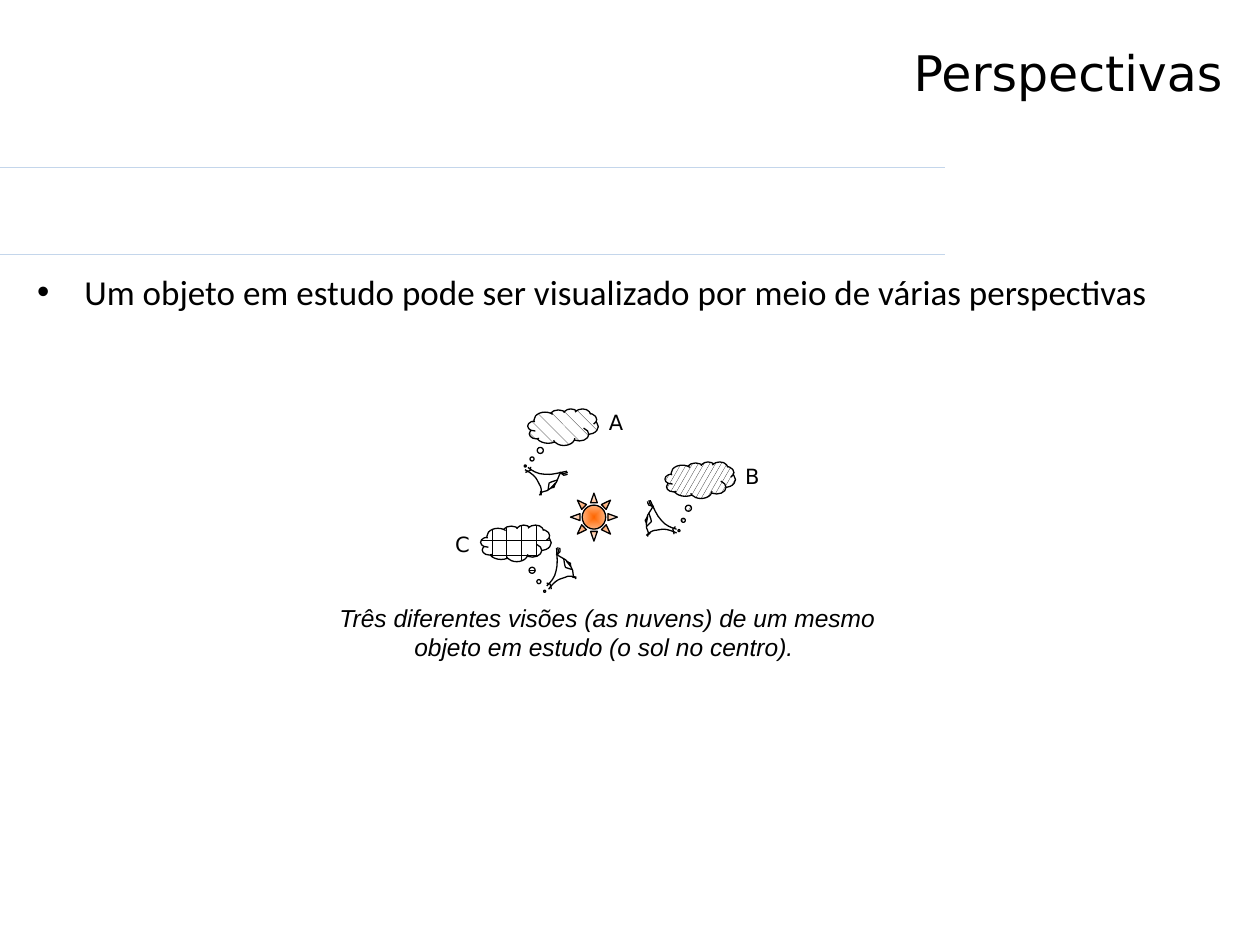
"""Build the slide on three views of one object under study."""
from math import cos, radians, sin

from lxml.etree import SubElement
from pptx import Presentation
from pptx.dml.color import RGBColor
from pptx.enum.dml import MSO_PATTERN
from pptx.enum.shapes import MSO_CONNECTOR, MSO_SHAPE
from pptx.enum.text import PP_ALIGN
from pptx.oxml.ns import qn
from pptx.util import Pt

BLACK = RGBColor(0x00, 0x00, 0x00)
WHITE = RGBColor(0xFF, 0xFF, 0xFF)
ORANGE = RGBColor(0xFF, 0x66, 0x00)
PALE = RGBColor(0xC4, 0xD6, 0xEB)

TITLE = "Perspectivas"
POINT = "Um objeto em estudo pode ser visualizado por meio de várias perspectivas"
CAPTION = ("Três diferentes visões (as nuvens) de um mesmo "
           "objeto em estudo (o sol no centro). ")

RULES = [95.76, 145.44]
RULE_END = 540
SUN = (326, 281.8, 26.8, 27.4)

CLOUD_W, CLOUD_H = 40.32, 20.88
CLOUDS = [
    (380, 263.9, MSO_PATTERN.LARGE_CONFETTI, (-0.301, 1.381)),
    (301.6, 233.6, MSO_PATTERN.SHINGLE, (-0.536, 1.065)),
    (274.7, 300, MSO_PATTERN.HORIZONTAL_BRICK, (0.407, 1.313)),
]
LABELS = [("A", 340.56, 230.4), ("B", 418.32, 261.36), ("C", 252.72, 300.24)]

EYES = [(386.64, 302.4, 1, 0), (312.48, 334.8, -1, -27.9), (301.68, 267.12, -1, 53.2)]
UNIT = 0.72
STROKES = [
    ("upper lid", -7.4, [(-21, -23), (-18, -17), (-16, -11), (-12, -7), (-9, -3),
                         (-4, -1), (0, 0)]),
    ("lower lid", 0, [(-24, 5), (-23, 4), (-21, 2), (-18, 1), (-16, 1), (-13, 0),
                      (-10, 0), (-7, 0), (-2, 2), (0, 3)]),
    ("ball", 0, [(-19, -18), (-19, -17), (-22, -13), (-23, -11), (-24, -9),
                 (-24, -6), (-24, -4), (-24, -2), (-24, 0), (-23, 1), (-23, 2),
                 (-22, 3), (-22, 4)]),
    ("iris", 5, [(-22, -13), (-22, -12), (-20, -8), (-20, -6), (-21, -5),
                 (-23, -3), (-24, -2)]),
    ("pupil", 5, [(-23, -10), (-23, -8), (-23, -7), (-24, -5), (-24, -5),
                  (-24, -5), (-25, -7), (-24, -9), (-24, -8), (-23, -10)]),
    ("corner", 0, [(-2, 4), (-2, 3), (-3, 1), (-3, 0), (-3, -1), (-1, -1), (-1, -2)]),
    ("long lash", 0, [(-18, -18), (-19, -18), (-20, -19), (-21, -20), (-21, -21),
                      (-22, -22), (-22, -23)]),
    ("side lash", 0, [(-19, -18), (-19, -18), (-21, -19), (-22, -19), (-23, -20),
                      (-23, -22), (-23, -22)]),
    ("low lash", 0, [(-21, 3), (-22, 4), (-22, 4), (-23, 5), (-23, 5), (-23, 6),
                     (-23, 6)]),
]


def outline(shape):
    """Give a shape a thin black line and no shadow."""
    shape.shadow.inherit = False
    shape.line.color.rgb = BLACK
    shape.line.width = Pt(0.75)


def add_rule(shapes, top):
    """Draw one pale rule from the left edge."""
    rule = shapes.add_connector(
        MSO_CONNECTOR.STRAIGHT, Pt(0), Pt(top), Pt(RULE_END), Pt(top))
    rule.line.color.rgb = PALE
    rule.line.width = Pt(0.75)
    SubElement(rule.element.spPr, qn("a:effectLst"))


def add_sun(shapes):
    """Draw the sun, orange at its heart."""
    sun = shapes.add_shape(MSO_SHAPE.SUN, *map(Pt, SUN))
    outline(sun)
    sun.fill.gradient()
    for stop, color in zip(sun.fill.gradient_stops, (ORANGE, WHITE)):
        stop.color.rgb = color
    grad = sun.element.spPr.find(qn("a:gradFill"))
    grad.remove(grad.find(qn("a:lin")))
    glow = SubElement(grad, qn("a:path"), {"path": "rect"})
    SubElement(glow, qn("a:fillToRect"), dict.fromkeys("ltrb", "50000"))


def add_cloud(shapes, left, top, pattern, tail):
    """Draw a hatched thought cloud."""
    cloud = shapes.add_shape(
        MSO_SHAPE.CLOUD_CALLOUT, Pt(left), Pt(top), Pt(CLOUD_W), Pt(CLOUD_H))
    outline(cloud)
    for i, value in enumerate(tail):
        cloud.adjustments[i] = value
    cloud.fill.patterned()
    cloud.fill.pattern = pattern
    cloud.fill.fore_color.rgb = BLACK
    cloud.fill.back_color.rgb = WHITE


def spin(dot, angle):
    """Turn a point about the origin."""
    (x, y), c, s = dot, cos(radians(angle)), sin(radians(angle))
    return x * c - y * s, x * s + y * c


def bend(shape):
    """Make each three line segments one cubic curve."""
    lines = list(shape.element.iter(qn("a:lnTo")))
    for i in range(0, len(lines), 3):
        curve = lines[i].makeelement(qn("a:cubicBezTo"), {})
        lines[i].addprevious(curve)
        for line in lines[i:i + 3]:
            curve.append(line[0])
            line.getparent().remove(line)


def add_eye(shapes, left, top, flip, turn):
    """Draw an eye, flipped and turned about its back."""
    for name, tilt, knots in STROKES:
        flat = [spin(knot, -tilt) for knot in knots]
        mid_x, mid_y = ((min(axis) + max(axis)) / 2 for axis in zip(*flat))
        x, y = spin((mid_x, mid_y), tilt)
        x, y = spin((flip * x, y), turn)
        dots = [(Pt(left + UNIT * (x + flip * (u - mid_x))),
                 Pt(top + UNIT * (y + v - mid_y))) for u, v in flat]
        pen = shapes.build_freeform(*dots[0])
        pen.add_line_segments(dots[1:], close=name == "pupil")
        stroke = pen.convert_to_shape()
        bend(stroke)
        stroke.rotation = turn + flip * tilt
        outline(stroke)
        if name == "pupil":
            stroke.fill.solid()
            stroke.fill.fore_color.rgb = BLACK
        else:
            stroke.fill.background()


def add_text(shapes, box, text, font, size, align, wrap=True):
    """Add a one-paragraph text box and return the paragraph."""
    frame = shapes.add_textbox(*map(Pt, box)).text_frame
    frame.word_wrap = wrap
    para = frame.paragraphs[0]
    para.text = text
    para.alignment = align
    para.font.name = font
    para.font.size = Pt(size)
    para.font.color.rgb = BLACK
    return para


def add_point(shapes):
    """Add the bulleted line."""
    para = add_text(shapes, (14.1, 151.2, 691.92, 374.4), POINT, "Calibri", 20,
                    PP_ALIGN.LEFT)
    props = para._p.get_or_add_pPr()
    props.set("marL", str(Pt(27)))
    props.set("indent", str(-Pt(27)))
    face = props.makeelement(qn("a:buFont"), {"typeface": "Arial"})
    mark = props.makeelement(qn("a:buChar"), {"char": "•"})
    props.insert(0, face)
    props.insert(1, mark)


def main():
    """Build and save the slide."""
    deck = Presentation()
    deck.slide_width, deck.slide_height = Pt(720), Pt(540)
    shapes = deck.slides.add_slide(deck.slide_layouts[6]).shapes
    for top in RULES:
        add_rule(shapes, top)
    scene = shapes.add_group_shape().shapes
    add_sun(scene)
    for eye in EYES:
        add_eye(scene, *eye)
    for cloud in CLOUDS:
        add_cloud(scene, *cloud)
    for text, left, top in LABELS:
        add_text(shapes, (left, top, 23.04, 21.6), text, "DejaVu Sans", 12,
                 PP_ALIGN.CENTER, False)
    note = add_text(shapes, (167.2, 341, 360, 41.04), CAPTION, "Arial", 14,
                    PP_ALIGN.CENTER)
    note.font.italic = True
    add_text(shapes, (12.96, 20.5, 692.64, 72.72), TITLE, "DejaVu Sans", 28,
             PP_ALIGN.RIGHT)
    add_point(shapes)
    deck.save("out.pptx")


if __name__ == "__main__":
    main()
